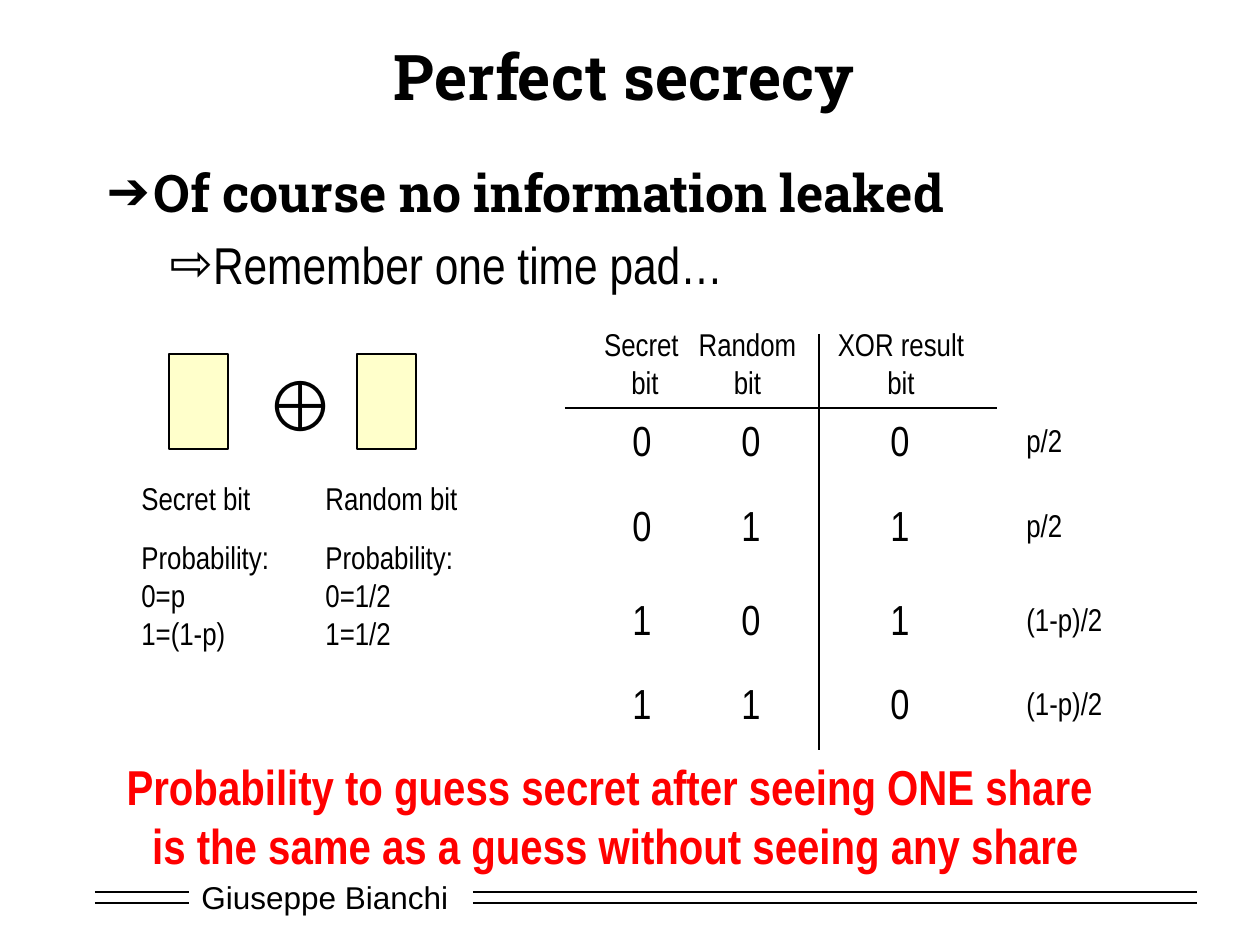
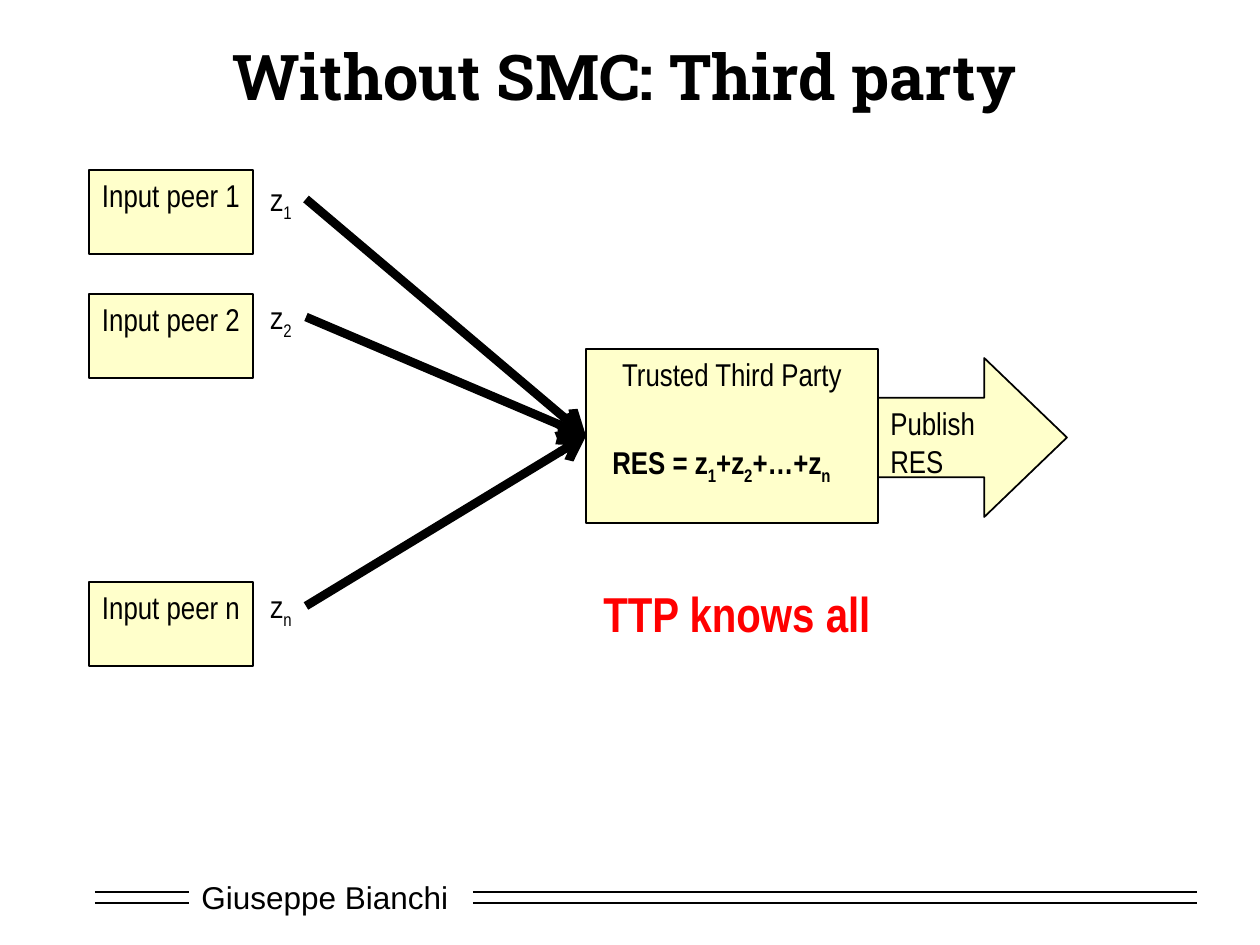
from lxml.etree import SubElement
from pptx import Presentation
from pptx.dml.color import RGBColor
from pptx.enum.shapes import MSO_CONNECTOR, MSO_SHAPE
from pptx.enum.text import MSO_ANCHOR, MSO_AUTO_SIZE, PP_ALIGN
from pptx.oxml.ns import qn
from pptx.util import Pt

PX = 914400 / 126
BLACK, WHITE, RED, CREAM = "000000", "FFFFFF", "FF0000", "FFFF99"
HEADING, NARROW, PLAIN = "Roboto Slab", "Arial Narrow", "Arial"
CENTER = PP_ALIGN.CENTER


def emu(*lengths):
    return [round(length * PX) for length in lengths]


def rgb(color):
    return RGBColor.from_string(color)


def style(font, size, name, color, bold):
    font.size, font.name, font.bold = Pt(size), name, bold
    font.color.rgb = rgb(color)


def write(frame, text, size=18, font=NARROW, color=BLACK, bold=False, align=PP_ALIGN.LEFT):
    for number, line in enumerate(text.split("\n")):
        paragraph = frame.add_paragraph() if number else frame.paragraphs[0]
        paragraph.alignment = align
        for row, part in enumerate(line.split("\v")):
            if row:
                paragraph.add_line_break()
            for index, piece in enumerate(part.split("~")):
                if piece:
                    run = paragraph.add_run()
                    run.text = piece
                    style(run.font, size, font, color, bold)
                    is_subscript = index % 2
                    if is_subscript:
                        run.font._element.set("baseline", "-25000")


def label(slide, box, text, **text_format):
    textbox = slide.shapes.add_textbox(*emu(*box))
    textbox.text_frame.word_wrap = False
    textbox.text_frame.auto_size = MSO_AUTO_SIZE.SHAPE_TO_FIT_TEXT
    write(textbox.text_frame, text, **text_format)
    return textbox


def block(slide, box, text="", kind=MSO_SHAPE.RECTANGLE, align=CENTER):
    shape = slide.shapes.add_shape(kind, *emu(*box))
    shape.shadow.inherit = False
    shape.fill.solid()
    shape.fill.fore_color.rgb = rgb(CREAM)
    color = shape.element.spPr.find(qn("a:solidFill"))[0]
    SubElement(color, qn("a:alpha"), val="50000")
    shape.line.color.rgb = rgb(BLACK)
    shape.line.width = Pt(1)
    shape.text_frame.vertical_anchor = MSO_ANCHOR.TOP
    if text:
        write(shape.text_frame, text, align=align)
    return shape


def rule(slide, x1, y1, x2, y2, width=1, arrow=False):
    connector = slide.shapes.add_connector(MSO_CONNECTOR.STRAIGHT, *emu(x1, y1, x2, y2))
    connector.line.color.rgb = rgb(BLACK)
    connector.line.width = Pt(width)
    properties = connector.element.spPr
    if arrow:
        SubElement(properties.find(qn("a:ln")), qn("a:tailEnd"), type="arrow")
    SubElement(properties, qn("a:effectLst"))
    return connector


def place(placeholder, box):
    placeholder.left, placeholder.top, placeholder.width, placeholder.height = emu(*box)
    placeholder.text_frame.auto_size = MSO_AUTO_SIZE.NONE


def new_slide(deck, layout, title):
    slide = deck.slides.add_slide(deck.slide_layouts[layout])
    place(slide.shapes.title, (94, 31, 1061, 89))
    write(slide.shapes.title.text_frame, title, size=36, font=HEADING, bold=True, align=CENTER)
    return slide


def footer(deck, slide, left, top):
    author = slide.shapes.add_shape(MSO_SHAPE.RECTANGLE, *emu(left + 94, top, 273, 50))
    author.shadow.inherit = False
    author.fill.solid()
    author.fill.fore_color.rgb = rgb(WHITE)
    author.line.fill.background()
    write(author.text_frame, "Giuseppe Bianchi", font=PLAIN)
    rules = [rule(slide, left + start, top + y, left + end, top + y)
             for y in (20, 31) for start, end in ((0, 94), (378, 1102))]
    for number, part in enumerate([author, *rules], 101):
        part.element.find(".//" + qn("p:cNvPr")).set("id", str(number))
        deck.slide_master.shapes.element.append(part.element)


def bullets(body, box, items):
    place(body, box)
    frame = body.text_frame
    for level, (text, mark, margin, hanging, font, bold) in enumerate(items):
        paragraph = frame.add_paragraph() if level else frame.paragraphs[0]
        paragraph.level = level
        run = paragraph.add_run()
        run.text = text
        style(run.font, 29.6, font, BLACK, bold)
        properties = paragraph._p.get_or_add_pPr()
        for name, length in zip(("marL", "indent"), emu(margin, -hanging)):
            properties.set(name, str(length))
        bullet_color = SubElement(properties, qn("a:buClr"))
        SubElement(bullet_color, qn("a:srgbClr"), val=BLACK)
        SubElement(properties, qn("a:buChar"), char=mark)


def shares(slide, left, top):
    label(slide, (left + 124, top + 1, 79, 97), "⊕", size=40)
    bits = ((0, 40, "Secret bit", "0=p\n1=(1-p)"),
            (184, 44, "Random bit", "0=1/2\n1=1/2"))
    for x, inset, name, odds in bits:
        block(slide, (left + x + inset, top, 59, 95))
        label(slide, (left + x, top + 119, 180, 50), name)
        label(slide, (left + x, top + 178, 180, 127), "Probability:\n" + odds)


def truth_table(slide, left, top):
    columns = ((26, 108, 55, "Secret \nbit", "0011"),
               (121, 123, 164, "Random\nbit", "0101"),
               (259, 154, 313, "XOR result\nbit", "0110"))
    row_tops = (89, 174, 268, 352)
    rule(slide, left + 254, top + 15, left + 254, top + 431)
    rule(slide, left, top + 89, left + 432, top + 89)
    for x, width, digit_x, heading, digits in columns:
        label(slide, (left + x, top, width, 89), heading, align=CENTER)
        for y, digit in zip(row_tops, digits):
            label(slide, (left + digit_x, top + y, 45, 64), digit, size=24)
    for y, chance in zip(row_tops, ("p/2", "p/2", "(1-p)/2", "(1-p)/2")):
        label(slide, (left + 449, top + y + 7, 110, 50), chance)


def third_party(slide, left, top):
    trusted = block(slide, (left + 497, top + 179, 292, 174), "Trusted Third Party")
    peers = ((0, 4, "1"), (124, 122, "2"), (412, 411, "n"))
    for peer_y, input_y, index in peers:
        block(slide, (left, top + peer_y, 164, 84), f"Input peer {index}")
        secret = label(slide, (left + 169, top + input_y, 48, 50), f"z~{index}~")
        arrow = rule(slide, left + 217, top + input_y + 25, left + 497, top + 266,
                     width=5, arrow=True)
        arrow.begin_connect(secret, 3)
        arrow.end_connect(trusted, 1)
    publish = block(slide, (left + 789, top + 188, 189, 159), "Publish\nRES",
                    kind=MSO_SHAPE.RIGHT_ARROW, align=PP_ALIGN.LEFT)
    publish.adjustments[1] = 0.52
    label(slide, (left + 511, top + 267, 249, 50), "RES = z~1~+z~2~+…+z~n~", bold=True)
    label(slide, (left + 502, top + 407, 295, 72), "TTP knows all",
          size=28, color=RED, bold=True)


def main():
    deck = Presentation()
    deck.slide_width, deck.slide_height = emu(1260, 945)

    secrecy = new_slide(deck, 1, "Perfect secrecy")
    footer(deck, secrecy, 95, 872)
    bullets(secrecy.placeholders[1], (94, 154, 1061, 134), (
        ("Of course no information leaked", "➔", 47, 47, HEADING, True),
        ("Remember one time pad…", "⇨", 102, 39, NARROW, False)))
    shares(secrecy, 129, 354)
    truth_table(secrecy, 565, 319)
    label(secrecy, (109, 750, 1012, 131),
          "Probability to guess secret after seeing ONE share \v"
          "is the same as a guess without seeing any share",
          size=28, color=RED, bold=True, align=CENTER)

    without_smc = new_slide(deck, 5, "Without SMC: Third party")
    third_party(without_smc, 89, 170)
    deck.save("out.pptx")


if __name__ == "__main__":
    main()
